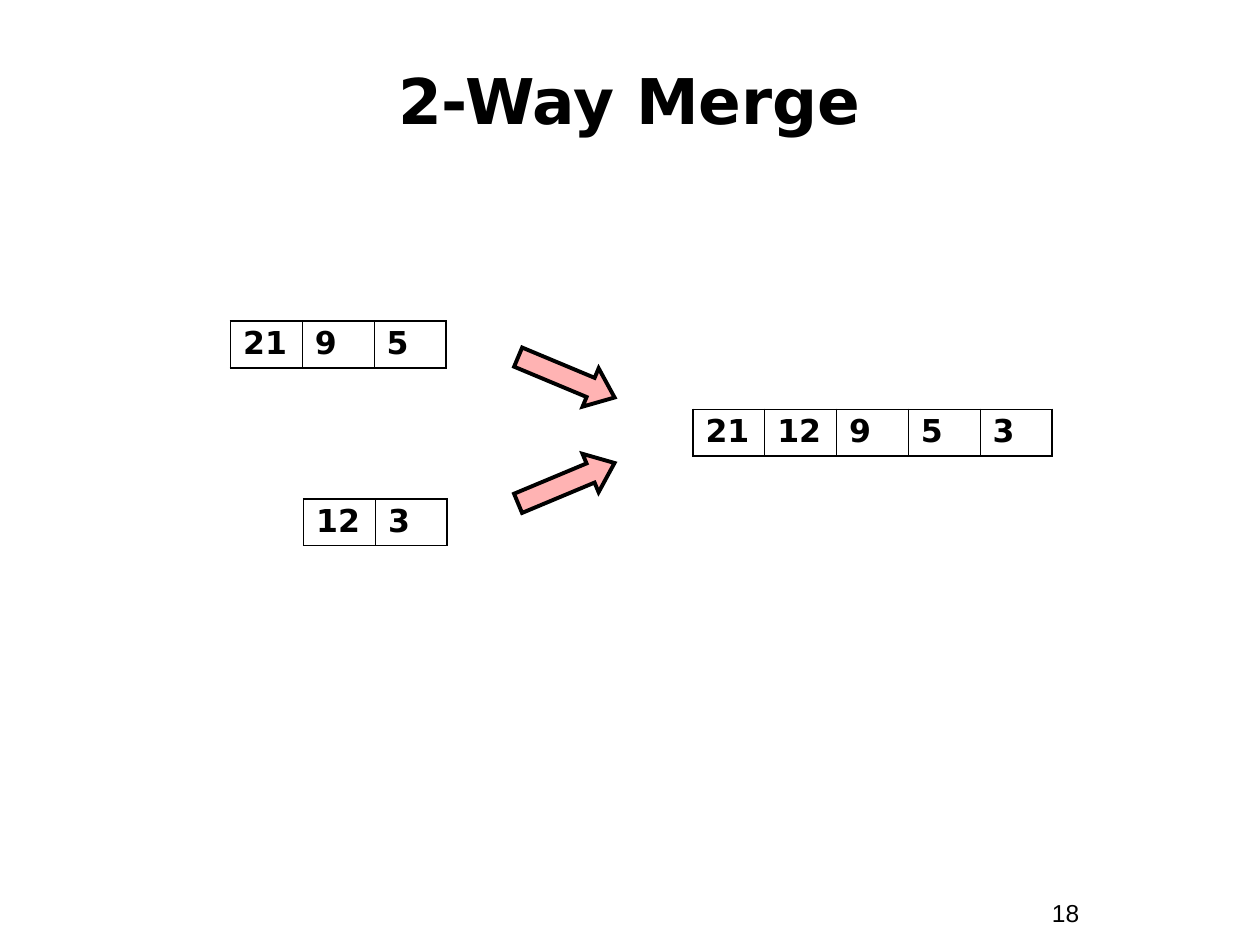
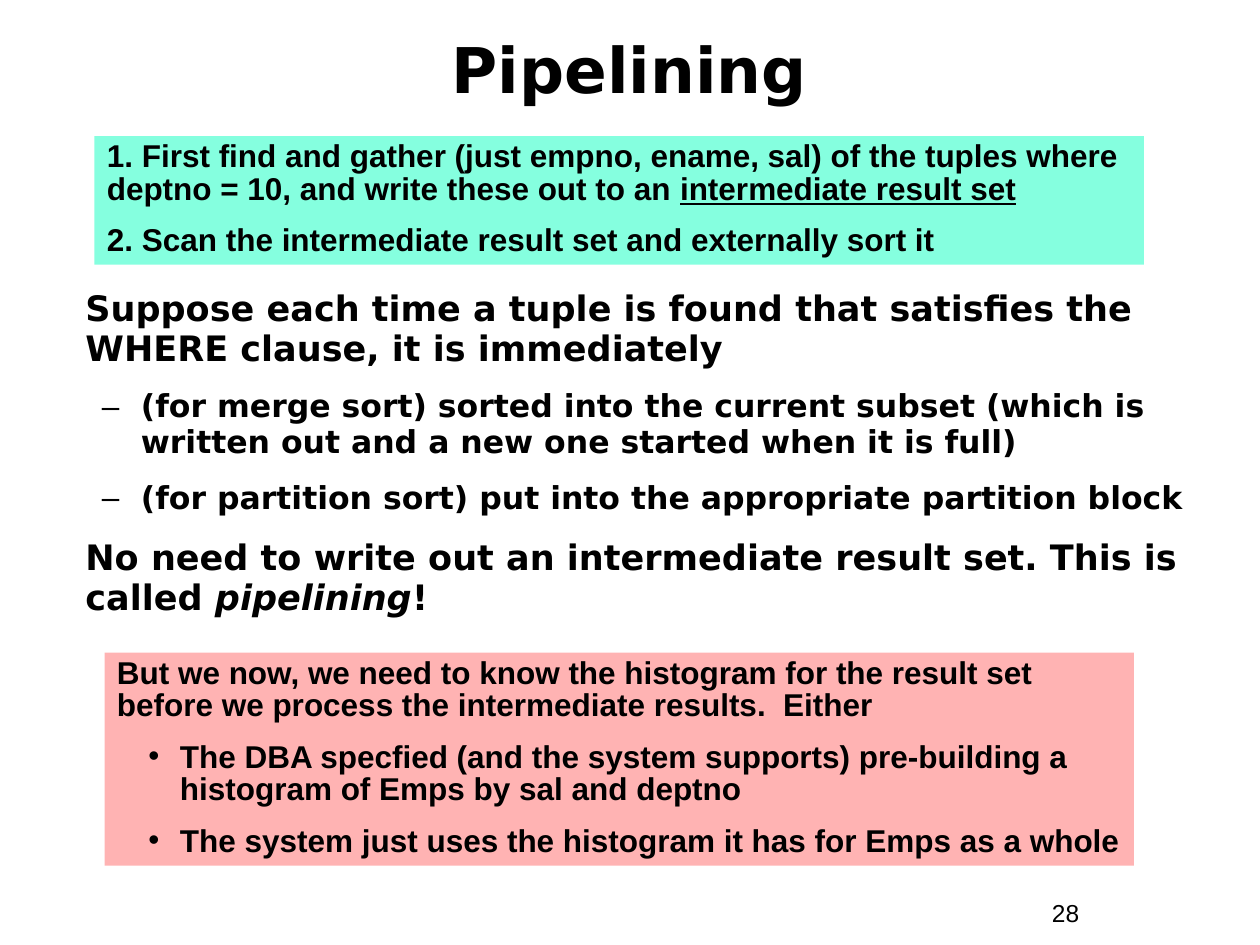
from lxml import etree
from pptx import Presentation
from pptx import util as u
from pptx.dml.color import RGBColor
from pptx.enum import shapes, text
from pptx.oxml.ns import qn

COLORS = {"ink": "000000", "paper": "FFFFFF", "mint": "85FFDF", "pink": "FFB3B3"}
HEADING_FONT, NOTE_FONT = "DejaVu Sans", "Arial"

# Content: merge slide
SORTED_RUNS = [  # left, top, values
    (1.83, 2.55, ["21", "9", "5"]),
    (2.41, 3.96, ["12", "3"]),
    (5.5, 3.25, ["21", "12", "9", "5", "3"]),
]
CELL_WIDTH, CELL_HEIGHT = 0.57, 0.37
OUTER_EDGE, INNER_EDGE = 1.08, 0.45
MERGE_ARROWS = [(2.83, 22.7), (3.67, -22.7)]  # top, rotation

# Content: pipelining slide; each paragraph is (level, [(text, emphasis), ...])
STEPS = [
    (0, [("1. First find and gather (just empno, ename, sal) of the tuples where "
          "deptno = 10, and write these out to an ", ""),
         ("intermediate result set", "underline")]),
    (0, [("2. Scan the intermediate result set and externally sort it", "")]),
]
PIPELINE = [
    (0, [("Suppose each time a tuple is found that satisfies the WHERE clause, "
          "it is immediately", "")]),
    (1, [("(for merge sort) sorted into the current subset (which is written out "
          "and a new one started when it is full)", "")]),
    (1, [("(for partition sort) put into the appropriate partition block", "")]),
    (0, [("No need to write out an intermediate result set. This is called ", ""),
         ("pipelining", "italic"), ("!", "")]),
]
HISTOGRAM = [
    (0, [("But we now, we need to know the histogram for the result set before we "
          "process the intermediate results.  Either", "")]),
    (1, [("The DBA specfied (and the system supports) pre-building a histogram of "
          "Emps by sal and deptno", "")]),
    (1, [("The system just uses the histogram it has for Emps as a whole", "")]),
]

# Paragraph looks: font, line spacing, sizes and space before by level, bullet
BODY_LOOK = dict(font=HEADING_FONT, spacing=0.95, sizes=(20, 18),
                 before=(12.5, 11.2), bullet="–", indent=(0.44, -0.31))
NOTE_LOOK = dict(font=NOTE_FONT, spacing=0.85, sizes=(18, 18),
                 before=(11.2, 11.2), bullet="•", indent=(0.5, -0.25))


def color(name):
    return RGBColor.from_string(COLORS[name])


def inches(*lengths):
    return [u.Inches(length) for length in lengths]


def style_run(run, font, size, bold=True):
    run.font.name, run.font.size, run.font.bold = font, u.Pt(size), bold
    run.font.color.rgb = color("ink")


def add_bullet(paragraph, char, indent):
    properties = paragraph._p.get_or_add_pPr()
    for name, length in zip(("marL", "indent"), indent):
        properties.set(name, str(u.Inches(length)))
    bullet_color = etree.SubElement(properties, qn("a:buClr"))
    etree.SubElement(bullet_color, qn("a:srgbClr"), val=COLORS["ink"])
    etree.SubElement(properties, qn("a:buFont"), typeface=NOTE_FONT)
    etree.SubElement(properties, qn("a:buChar"), char=char)


def write_paragraphs(frame, paragraphs, look):
    frame.word_wrap = True
    frame.vertical_anchor = text.MSO_ANCHOR.TOP
    for index, (level, pieces) in enumerate(paragraphs):
        paragraph = frame.add_paragraph() if index else frame.paragraphs[0]
        paragraph.level = level
        paragraph.alignment = text.PP_ALIGN.LEFT
        if level:
            add_bullet(paragraph, look["bullet"], look["indent"])
        paragraph.line_spacing = look["spacing"]
        if index:
            paragraph.space_before = u.Pt(look["before"][level])
        for words, emphasis in pieces:
            run = paragraph.add_run()
            run.text = words
            style_run(run, look["font"], look["sizes"][level])
            if emphasis:
                setattr(run.font, emphasis, True)


def add_slide(deck, heading, top, height, number):
    slide = deck.slides.add_slide(deck.slide_layouts[5])
    title = slide.shapes.title
    title.left, title.top, title.width, title.height = inches(0.33, top, 9.33, height)
    title.text_frame.text = heading
    title.text_frame.auto_size = text.MSO_AUTO_SIZE.NONE
    title.text_frame.vertical_anchor = text.MSO_ANCHOR.MIDDLE
    title.text_frame.paragraphs[0].alignment = text.PP_ALIGN.CENTER
    style_run(title.text_frame.paragraphs[0].runs[0], HEADING_FONT, 36)

    page = slide.shapes.add_textbox(*inches(8.25, 7.08, 0.92, 0.34)).text_frame
    page.word_wrap = True
    page.text = number
    style_run(page.paragraphs[0].runs[0], NOTE_FONT, 14, bold=False)
    return slide


def add_borders(cell, widths):
    properties = cell._tc.get_or_add_tcPr()
    for index, (side, width) in enumerate(widths.items()):
        edge = etree.Element(qn("a:" + side), w=str(u.Pt(width)))
        fill = etree.SubElement(edge, qn("a:solidFill"))
        etree.SubElement(fill, qn("a:srgbClr"), val=COLORS["ink"])
        properties.insert(index, edge)


def add_sorted_run(slide, left, top, values):
    place = inches(left, top, CELL_WIDTH * len(values), CELL_HEIGHT)
    table = slide.shapes.add_table(1, len(values), *place).table
    table.first_row = table.horz_banding = False
    last = len(values) - 1
    for index, value in enumerate(values):
        table.columns[index].width = u.Inches(CELL_WIDTH)
        cell = table.cell(0, index)
        cell.fill.solid()
        cell.fill.fore_color.rgb = color("paper")
        cell.vertical_anchor = text.MSO_ANCHOR.MIDDLE
        cell.text_frame.text = value
        paragraph = cell.text_frame.paragraphs[0]
        paragraph.line_spacing = 0.9
        style_run(paragraph.runs[0], HEADING_FONT, 18)
        add_borders(cell, {
            "lnL": INNER_EDGE if index else OUTER_EDGE,
            "lnR": INNER_EDGE if index < last else OUTER_EDGE,
            "lnT": OUTER_EDGE,
            "lnB": OUTER_EDGE,
        })


def add_filled(slide, kind, place, fill):
    shape = slide.shapes.add_shape(kind, *inches(*place))
    shape.shadow.inherit = False
    shape.fill.solid()
    shape.fill.fore_color.rgb = color(fill)
    shape.line.fill.background()
    return shape


def add_merge_arrow(slide, top, rotation):
    arrow = add_filled(slide, shapes.MSO_SHAPE.RIGHT_ARROW, (4.08, top, 0.83, 0.33), "pink")
    arrow.adjustments[0], arrow.adjustments[1] = 0.5, 0.625
    arrow.rotation = rotation
    arrow.line.color.rgb = color("ink")
    arrow.line.width = u.Pt(2.25)
    etree.SubElement(arrow.line._get_or_add_ln(), qn("a:miter"), lim="800000")


def main():
    deck = Presentation()
    deck.slide_width, deck.slide_height = inches(10, 7.5)

    # Two sorted runs merged into one
    merge = add_slide(deck, "2-Way Merge", 0.33, 0.92, "18")
    for sorted_run in SORTED_RUNS:
        add_sorted_run(merge, *sorted_run)
    for arrow in MERGE_ARROWS:
        add_merge_arrow(merge, *arrow)

    # Pipelining text between two coloured notes
    pipelining = add_slide(deck, "Pipelining", 0.17, 0.75, "28")
    body = pipelining.shapes.add_textbox(*inches(0.58, 2.25, 9, 2.85))
    write_paragraphs(body.text_frame, PIPELINE, BODY_LOOK)
    for place, fill, paragraphs in [
        ((0.75, 1.08, 8.33, 1.02), "mint", STEPS),
        ((0.83, 5.18, 8.17, 1.69), "pink", HISTOGRAM),
    ]:
        note = add_filled(pipelining, shapes.MSO_SHAPE.RECTANGLE, place, fill)
        write_paragraphs(note.text_frame, paragraphs, NOTE_LOOK)

    deck.save("out.pptx")


if __name__ == "__main__":
    main()
